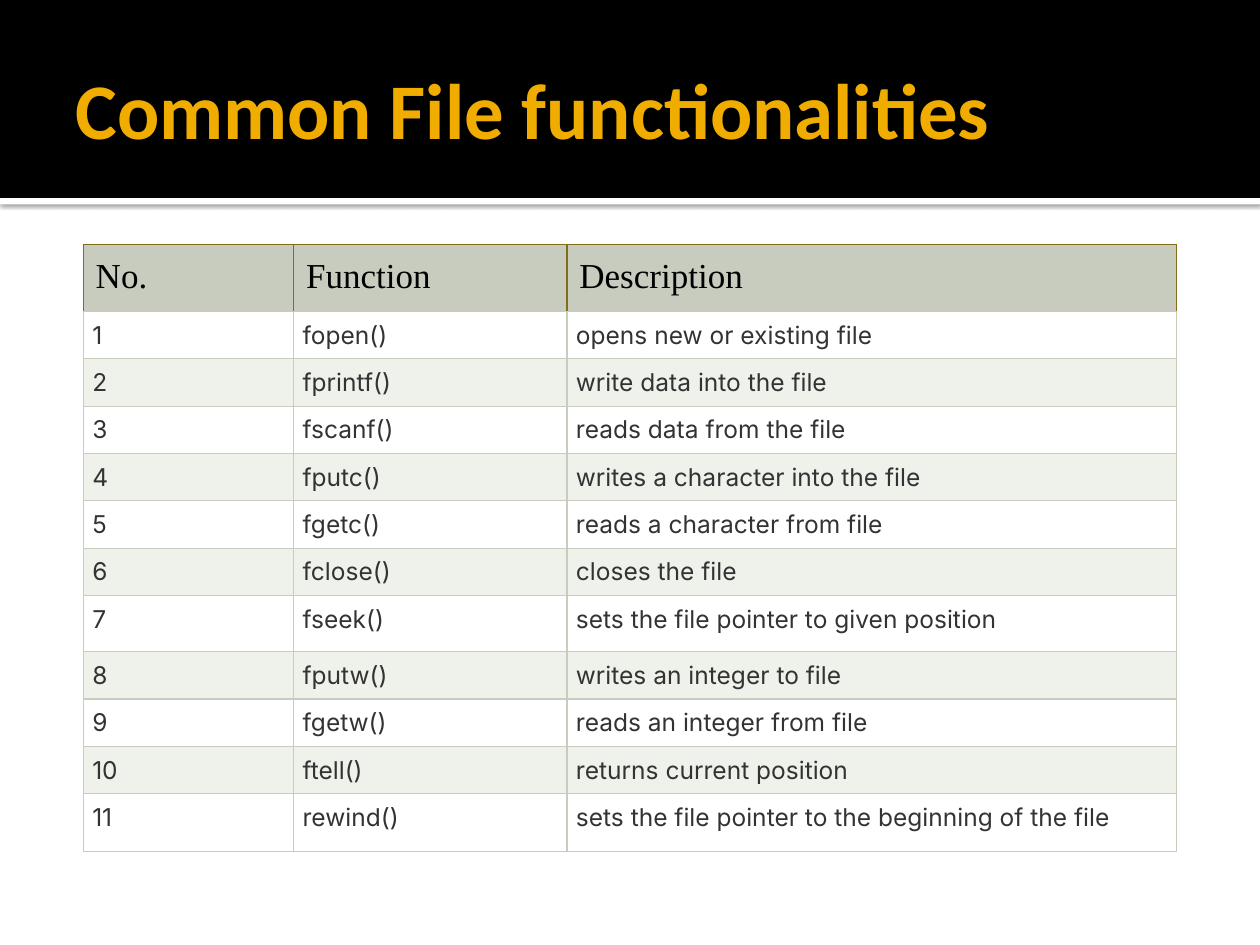
import pptx
import pptx.util
import pptx.dml.color
import pptx.enum.shapes
import pptx.enum.text
import pptx.oxml
import pptx.oxml.ns

Cm = pptx.util.Cm
Pt = pptx.util.Pt
RGBColor = pptx.dml.color.RGBColor
ALIGN = pptx.enum.text.PP_ALIGN

BLACK = RGBColor(0x00, 0x00, 0x00)
WHITE = RGBColor(0xFF, 0xFF, 0xFF)
AMBER = RGBColor(0xF0, 0xAD, 0x00)
SAGE = RGBColor(0xC7, 0xCC, 0xBE)
PALE_SAGE = RGBColor(0xEF, 0xF1, 0xEB)
OLIVE = RGBColor(0x80, 0x6E, 0x18)
CHARCOAL = RGBColor(0x33, 0x33, 0x33)


def write_text(frame, text, font, size, color, bold=False, align=ALIGN.LEFT):
    para = frame.paragraphs[0]
    para.alignment = align
    span = para.add_run()
    span.text = text
    span.font.name = font
    span.font.size = Pt(size)
    span.font.bold = bold
    span.font.color.rgb = color


def add_border(cell, side, color):
    cell._tc.get_or_add_tcPr().append(pptx.oxml.parse_xml(
        f'<a:{side} {pptx.oxml.ns.nsdecls("a")} w="{Pt(0.75)}">'
        f'<a:solidFill><a:srgbClr val="{color}"/></a:solidFill></a:{side}>'))


deck = pptx.Presentation()
deck.slide_width = Cm(25.4)
deck.slide_height = Cm(19.05)
page = deck.slides.add_slide(deck.slide_layouts[6])

for top, height, color in [(3.99, 0.13, WHITE), (0, 3.99, BLACK)]:
    band = page.shapes.add_shape(
        pptx.enum.shapes.MSO_SHAPE.RECTANGLE, 0, Cm(top), deck.slide_width, Cm(height))
    band.shadow.inherit = False
    band.fill.solid()
    band.fill.fore_color.rgb = color
    band.line.fill.background()
    if color == WHITE:
        effects = band._element.spPr.find(pptx.oxml.ns.qn("a:effectLst"))
        effects.append(pptx.oxml.parse_xml(
            f'<a:outerShdw {pptx.oxml.ns.nsdecls("a")} blurRad="{Pt(2.5)}" '
            f'dist="{Pt(0.8)}" dir="5400000" algn="tl" rotWithShape="0">'
            '<a:srgbClr val="000000"><a:alpha val="60000"/></a:srgbClr></a:outerShdw>'))

title_box = page.shapes.add_textbox(Cm(1.27), Cm(0.43), Cm(22.86), Cm(3.48))
title_frame = title_box.text_frame
title_frame.word_wrap = True
title_frame.vertical_anchor = pptx.enum.text.MSO_ANCHOR.MIDDLE
title_frame.margin_left = Cm(0.25)
title_frame.margin_right = Cm(0.13)
write_text(title_frame, "Common File functionalities", font="Calibri", size=45,
           color=AMBER, bold=True)

rows = [
    ("No.", "Function", "Description"),
    ("1", "fopen()", "opens new or existing file"),
    ("2", "fprintf()", "write data into the file"),
    ("3", "fscanf()", "reads data from the file"),
    ("4", "fputc()", "writes a character into the file"),
    ("5", "fgetc()", "reads a character from file"),
    ("6", "fclose()", "closes the file"),
    ("7", "fseek()", "sets the file pointer to given position"),
    ("8", "fputw()", "writes an integer to file"),
    ("9", "fgetw()", "reads an integer from file"),
    ("10", "ftell()", "returns current position"),
    ("11", "rewind()", "sets the file pointer to the beginning of the file"),
]
column_widths = [4.24, 5.51, 12.29]
special_heights = {0: 1.12, 7: 1.13, 11: 1.17}

table = page.shapes.add_table(
    len(rows), len(column_widths), Cm(1.68), Cm(4.93), Cm(22.04), Cm(12.24)).table
table.first_row = False
table.horz_banding = False
for column, width in zip(table.columns, column_widths):
    column.width = Cm(width)

for row_index, texts in enumerate(rows):
    table.rows[row_index].height = Cm(special_heights.get(row_index, 0.955))
    header = row_index == 0
    margin = Cm(0.25 if header else 0.18)
    edge = OLIVE if header else SAGE
    fill = SAGE if header else WHITE if row_index % 2 else PALE_SAGE
    for column_index, text in enumerate(texts):
        cell = table.cell(row_index, column_index)
        cell.margin_left = cell.margin_right = margin
        cell.margin_top = cell.margin_bottom = margin
        for side, color in [("lnL", edge), ("lnR", edge), ("lnT", edge), ("lnB", SAGE)]:
            add_border(cell, side, SAGE if row_index == 1 and side == "lnT" else color)
        cell.fill.solid()
        cell.fill.fore_color.rgb = fill
        if header:
            write_text(cell.text_frame, text, font="Times New Roman", size=20, color=BLACK)
        else:
            write_text(cell.text_frame, text, font="Inter", size=14, color=CHARCOAL,
                       align=ALIGN.JUSTIFY)

deck.save("out.pptx")
